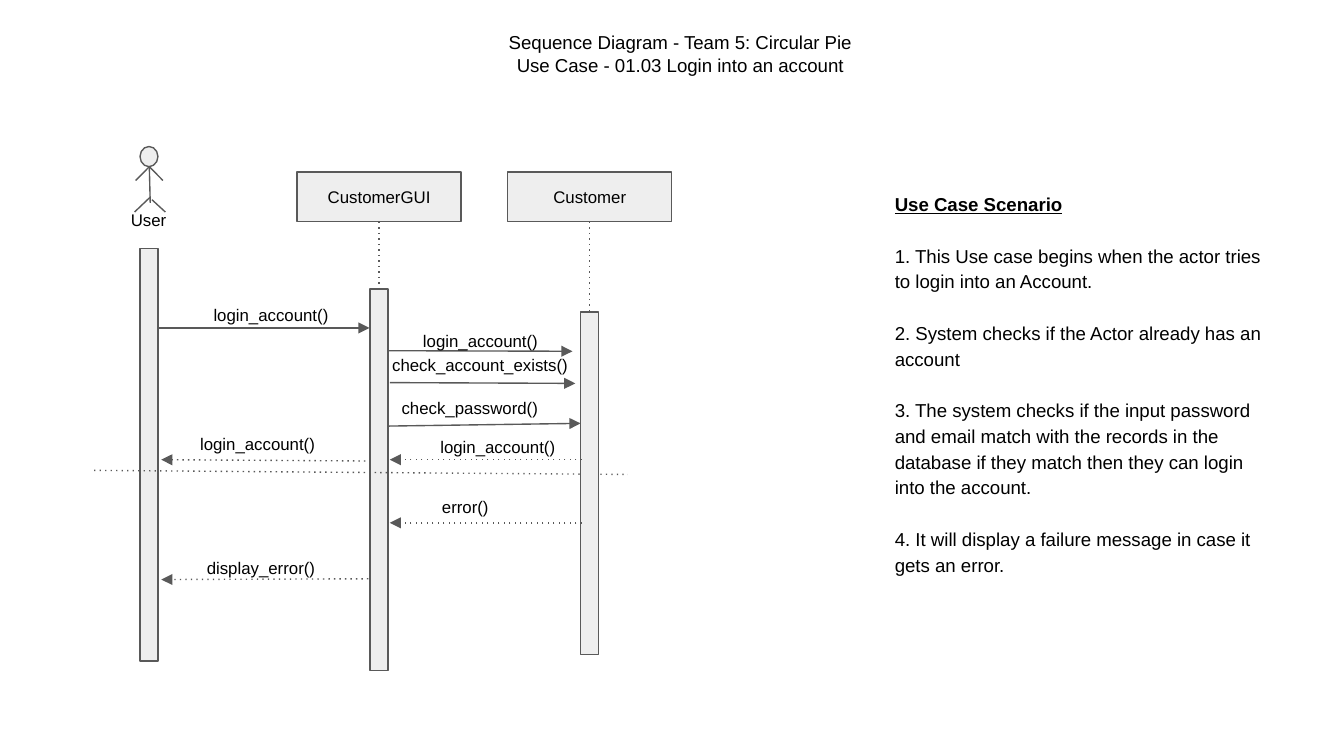
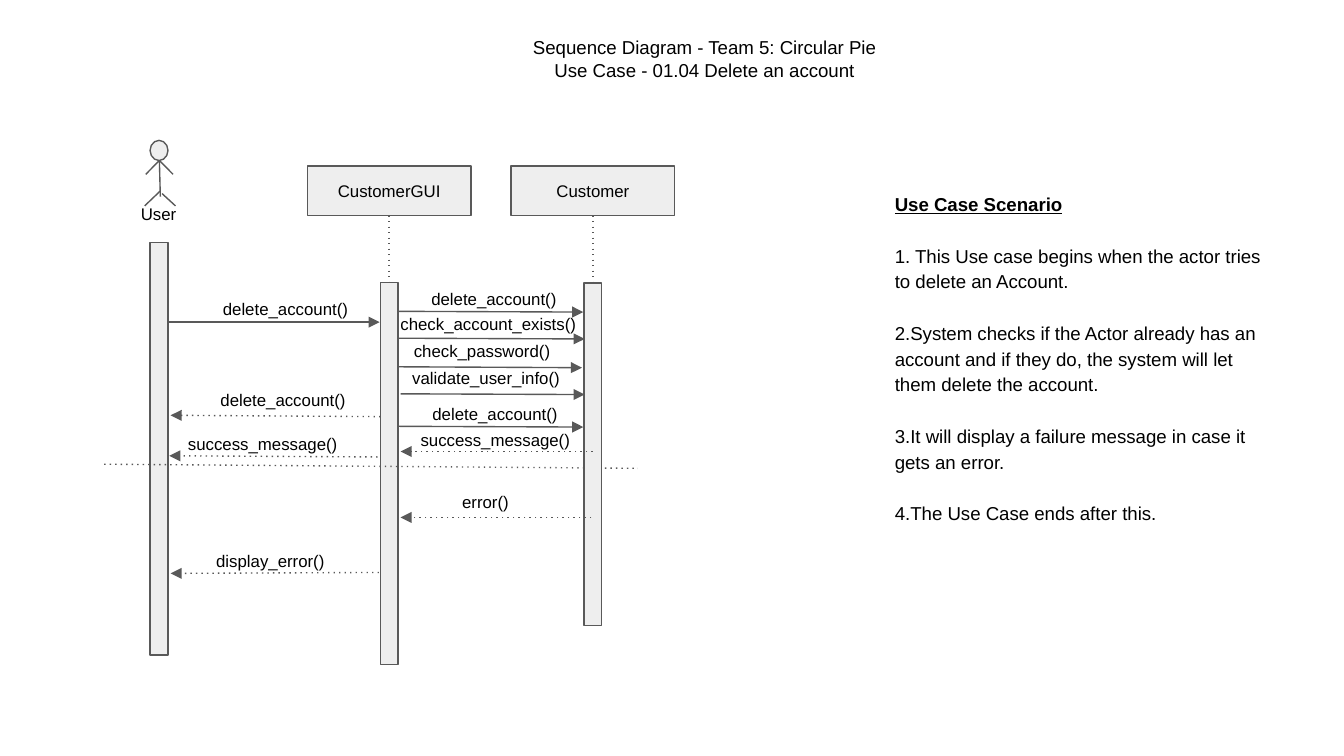
from dataclasses import dataclass

from lxml import etree
from pptx import Presentation
from pptx.dml.color import RGBColor
from pptx.enum.shapes import MSO_CONNECTOR, MSO_SHAPE
from pptx.enum.text import MSO_ANCHOR, PP_ALIGN
from pptx.oxml.ns import qn
from pptx.util import Pt

STRAIGHT = MSO_CONNECTOR.STRAIGHT
OVAL, RECTANGLE = MSO_SHAPE.OVAL, MSO_SHAPE.RECTANGLE
MIDDLE = MSO_ANCHOR.MIDDLE
LEFT, CENTER = PP_ALIGN.LEFT, PP_ALIGN.CENTER

COLORS = {"fill": "EEEEEE", "line": "595959", "text": "000000"}
FONT = "Arial"
LINE_WIDTH = 0.75
INSET = 7.2
LABEL_SIZE, BODY_SIZE = 9, 10
BAR_WIDTH = 9.6
BOX_WIDTH, BOX_HEIGHT, BOX_TOP = 87.8, 26.6, 13.7
BOX_BOTTOM = BOX_TOP + BOX_HEIGHT
USER_X, GUI_X = 29.4, 152.7
USER_TOP, GUI_TOP = 54.7, 76.3


@dataclass
class Message:
    """A labelled arrow; label is left, top, width within the diagram."""
    text: str
    label: tuple
    start: tuple
    end: tuple
    reply: bool = False
    align: PP_ALIGN = LEFT


def color(name):
    """Return a palette colour."""
    return RGBColor.from_string(COLORS[name])


def add_span(para, text, size, bold=False):
    """Add one run; bold runs are underlined headings."""
    span = para.add_run()
    span.text = text
    span.font.name = FONT
    span.font.size = Pt(size)
    span.font.color.rgb = color("text")
    if bold:
        span.font.bold = span.font.underline = True


def set_insets(frame):
    """Wrap the text and give it equal margins."""
    frame.word_wrap = True
    frame.margin_left = frame.margin_right = Pt(INSET)
    frame.margin_top = frame.margin_bottom = Pt(INSET)


def add_text(page, left, top, width, height, lines, size, align=LEFT,
             spacing=None, gap=0, heading=False):
    """Place a text box with one paragraph for each line."""
    box = page.shapes.add_textbox(Pt(left), Pt(top), Pt(width), Pt(height))
    frame = box.text_frame
    set_insets(frame)
    for index, line in enumerate(lines):
        para = frame.add_paragraph() if index else frame.paragraphs[0]
        para.alignment = align
        if spacing:
            para.line_spacing = spacing
        if index and gap:
            para.space_before = Pt(gap)
        add_span(para, line, size, heading and index == 0)


def add_shape(page, kind, left, top, width, height):
    """Place a grey outlined shape."""
    shape = page.shapes.add_shape(kind, Pt(left), Pt(top), Pt(width), Pt(height))
    shape.shadow.inherit = False
    shape.fill.solid()
    shape.fill.fore_color.rgb = color("fill")
    shape.line.color.rgb = color("line")
    shape.line.width = Pt(LINE_WIDTH)
    return shape


def add_line(page, left, top, start, end, dotted=False, arrow=False):
    """Draw a line between two points of the box at left, top."""
    line = page.shapes.add_connector(
        STRAIGHT, Pt(left + start[0]), Pt(top + start[1]),
        Pt(left + end[0]), Pt(top + end[1]))
    line.line.color.rgb = color("line")
    line.line.width = Pt(LINE_WIDTH)
    properties = line._element.spPr
    outline = properties.find(qn("a:ln"))
    if dotted:
        etree.SubElement(outline, qn("a:prstDash")).set("val", "dot")
    if arrow:
        etree.SubElement(outline, qn("a:tailEnd")).set("type", "triangle")
    etree.SubElement(properties, qn("a:effectLst"))


def add_bar(page, left, top, center, bar_top, height):
    """Place an activation bar centred on its lifeline."""
    add_shape(page, RECTANGLE, left + center - BAR_WIDTH / 2, top + bar_top,
              BAR_WIDTH, height)


def add_actor(page, left, top):
    """Draw the stick figure of the user, its name and its bar."""
    add_shape(page, OVAL, left + USER_X - 4.8, top, 9.6, 10.8)
    neck = (29.6, 10.8)
    limbs = [(neck, (30.1, 30.2)), ((36.9, 18.2), neck), (neck, (22.3, 18.2)),
             ((29.9, 27.3), (21.7, 35.1)), ((31, 28.5), (38.2, 35.1))]
    for start, end in limbs:
        add_line(page, left, top, start, end)
    add_text(page, left + 12.6, top + 28.6, 56, 25.2, ["User"], LABEL_SIZE)
    add_bar(page, left, top, USER_X, USER_TOP, 221)


def add_participant(page, left, top, name, center, bar_top, height):
    """Draw a named box, its dotted lifeline and its bar."""
    box = add_shape(page, RECTANGLE, left + center - BOX_WIDTH / 2,
                    top + BOX_TOP, BOX_WIDTH, BOX_HEIGHT)
    frame = box.text_frame
    set_insets(frame)
    frame.vertical_anchor = MIDDLE
    para = frame.paragraphs[0]
    para.alignment = CENTER
    add_span(para, name, LABEL_SIZE)
    add_line(page, left, top, (center, BOX_BOTTOM), (center, bar_top), dotted=True)
    add_bar(page, left, top, center, bar_top, height)


def add_diagram(page, left, top, customer_x, customer_top, messages):
    """Draw the sequence diagram with its origin at left, top."""
    add_actor(page, left, top)
    add_participant(page, left, top, "CustomerGUI", GUI_X, GUI_TOP, 204.5)
    add_line(page, left, top, (0, 173.5), (286, 175.7), dotted=True)
    add_participant(page, left, top, "Customer", customer_x, customer_top, 183.6)
    for message in messages:
        add_line(page, left, top, message.start, message.end,
                 dotted=message.reply, arrow=True)
        label_left, label_top, width = message.label
        centered = message.align == CENTER
        add_text(page, left + label_left, top + label_top, width,
                 27.4 if centered else 25.2, [message.text], LABEL_SIZE,
                 message.align, 1.15 if centered else None)


def add_title(page, left, top, use_case):
    """Place the two-line title."""
    add_text(page, left, top, 221.8, 38.9,
             ["Sequence Diagram - Team 5: Circular Pie", "Use Case - " + use_case],
             BODY_SIZE, CENTER)


def add_scenario(page, left, top, height, steps):
    """Place the scenario heading and its steps."""
    add_text(page, left, top, 213.8, height, ["Use Case Scenario", *steps],
             BODY_SIZE, spacing=1.15, gap=13.8, heading=True)


LOGIN_MESSAGES = [
    Message("login_account()", (56.9, 79.2, 102.2), (34.6, 97.2), (147.6, 97.2)),
    Message("login_account()", (143.3, 90.7, 127.4), (157.7, 109.4),
            (256.3, 109.7), align=CENTER),
    Message("check_account_exists()", (152.6, 105.8, 131), (158.4, 126.5), (257.8, 126.9)),
    Message("check_password()", (157.7, 128.9, 91.4), (157, 149.8), (260.6, 148.3)),
    Message("login_account()", (170.6, 147.6, 91.4), (261.4, 167.8),
            (158.4, 167.8), True, CENTER),
    Message("login_account()", (49.7, 148.3, 85.7), (148.3, 168.5), (36, 167.8), True),
    Message("error()", (179.3, 182.2, 127.4), (261.4, 201.6), (158.4, 201.6), True),
    Message("display_error()", (53.3, 214.6, 87.8), (146.9, 231.6), (36, 232), True),
]
DELETE_MESSAGES = [
    Message("delete_account()", (56.5, 79.6, 102.2), (34.6, 97.4), (147.6, 97.4)),
    Message("delete_account()", (145.1, 71.6, 127.4), (157.3, 91.6),
            (256.7, 92), align=CENTER),
    Message("check_account_exists()", (151.6, 87.5, 131), (158, 106), (257.4, 106.4)),
    Message("check_password()", (158.8, 101.9, 91.4), (157.3, 121.3), (256, 121.8)),
    Message("validate_user_info()", (158, 116.3, 95.8), (158.8, 135.8), (257.4, 136.2)),
    Message("delete_account()", (168.8, 135.7, 95.8), (158, 153.2), (256.7, 153.6)),
    Message("success_message()", (162.4, 149.4, 102.2), (261.7, 166.7), (158.8, 166.7), True),
    Message("delete_account()", (54.4, 125.6, 82.8), (148, 148),
            (35.6, 147.3), True, CENTER),
    Message("success_message()", (37.8, 151.6, 121), (146.5, 169.6), (34.9, 169), True),
    Message("error()", (184.7, 182.5, 127.4), (261, 202), (158.8, 202), True),
    Message("display_error()", (52.9, 214.2, 87.8), (147.2, 231.5), (35.6, 232), True),
]
LOGIN_STEPS = [
    "1. This Use case begins when the actor tries to login into an Account.",
    "2. System checks if the Actor already has an account",
    "3. The system checks if the input password and email match with the records "
    "in the database if they match then they can login into the account.",
    "4. It will display a failure message in case it gets an error.",
]
DELETE_STEPS = [
    "1. This Use case begins when the actor tries to delete an Account.",
    "2.System checks if the Actor already has an account and if they do, "
    "the system will let them delete the account.",
    "3.It will display a failure message in case it gets an error.",
    "4.The Use Case ends after this.",
]

deck = Presentation()
deck.slide_width, deck.slide_height = Pt(720), Pt(405)
blank = deck.slide_layouts[6]

login = deck.slides.add_slide(blank)
add_diagram(login, 50.4, 78.5, 265.5, 88.6, LOGIN_MESSAGES)
add_scenario(login, 472.3, 94.3, 221.8, LOGIN_STEPS)
add_title(login, 253.4, 9.4, "01.03 Login into an account")

delete = deck.slides.add_slide(blank)
add_diagram(delete, 55.8, 75.2, 261.8, 76.3, DELETE_MESSAGES)
add_scenario(delete, 472.3, 94.3, 193.7, DELETE_STEPS)
add_title(delete, 266.4, 12.2, "01.04 Delete an account")

deck.save("out.pptx")
